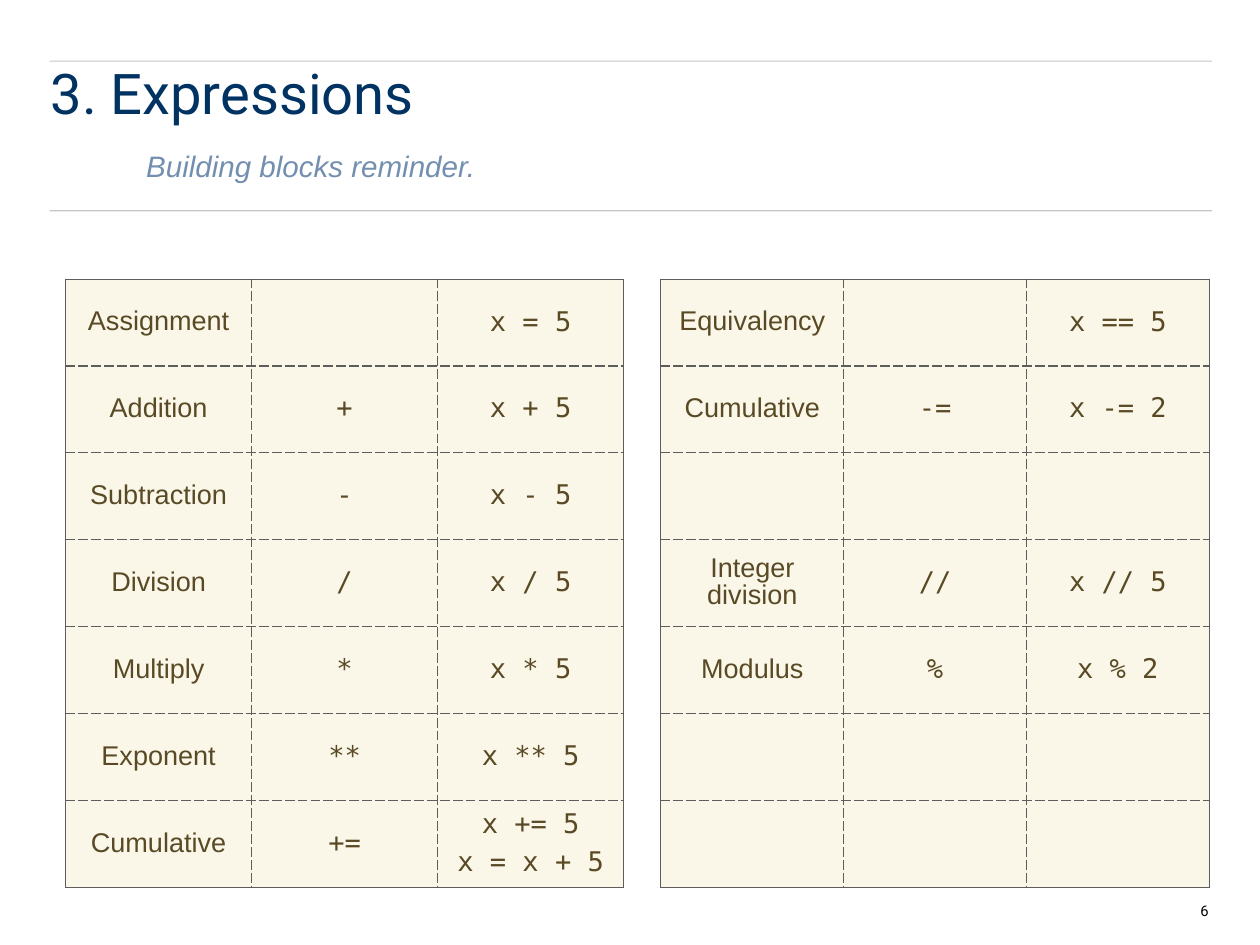
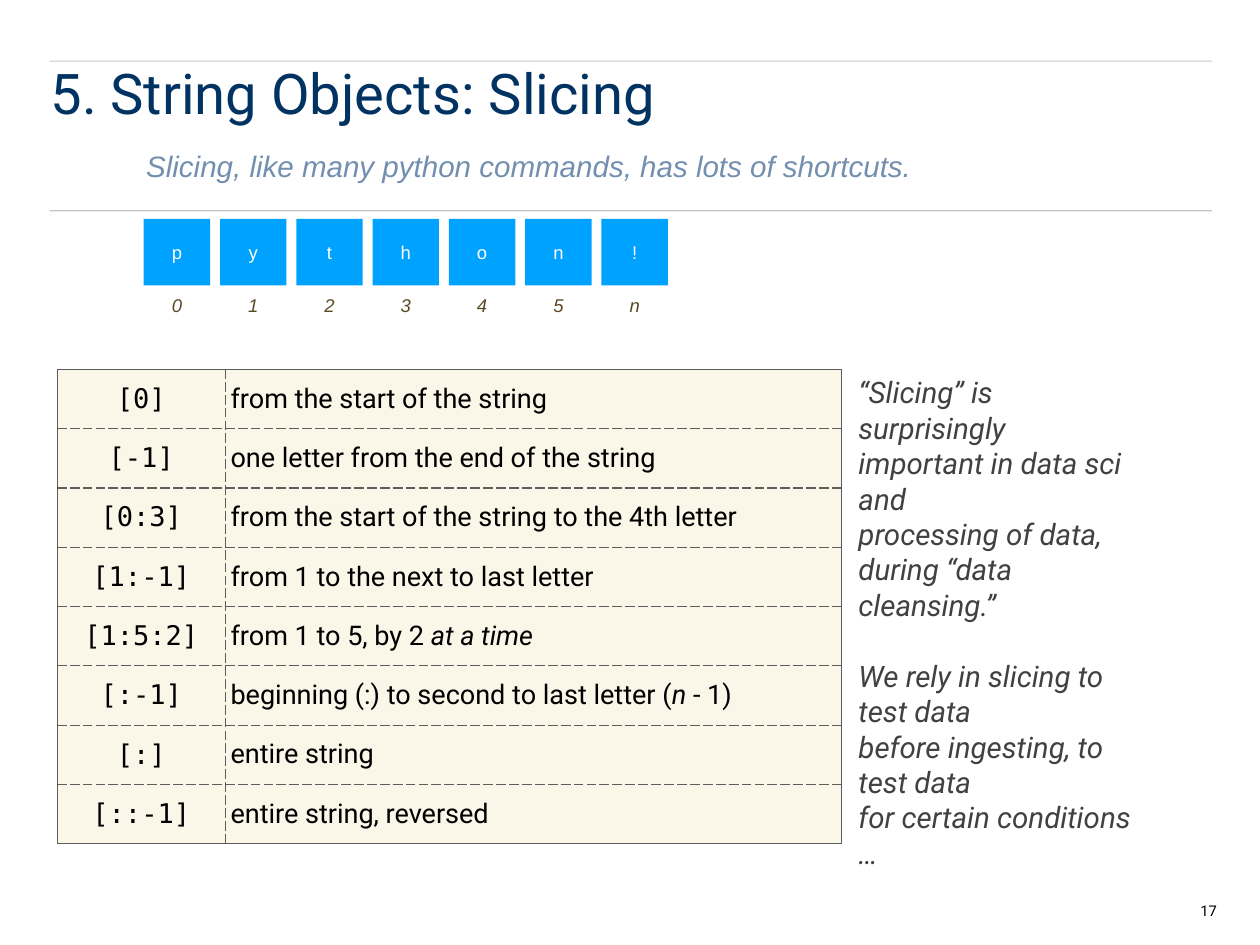
import pptx
import pptx.dml.color
import pptx.enum.shapes
import pptx.enum.text
import pptx.oxml
import pptx.oxml.ns
import pptx.util

RGB = pptx.dml.color.RGBColor
ALIGN = pptx.enum.text.PP_ALIGN
ANCHOR = pptx.enum.text.MSO_ANCHOR
Pt = pptx.util.Pt

NAVY = RGB(0x00, 0x32, 0x62)
STEEL = RGB(0x73, 0x8F, 0xAF)
CREAM = RGB(0xFA, 0xF7, 0xE9)
BROWN = RGB(0x59, 0x4A, 0x25)
BLUE = RGB(0x00, 0xA2, 0xFF)
GRAY = RGB(0x41, 0x41, 0x41)
RULE = RGB(0x44, 0x44, 0x44)
EDGE = RGB(0x5D, 0x5D, 0x5D)
WHITE = RGB(0xFF, 0xFF, 0xFF)
BLACK = RGB(0, 0, 0)

SANS, MONO, ROBOTO = "Arial", "DejaVu Sans Mono", "Roboto"
WIDE, HIGH = pptx.util.Inches(14.22), pptx.util.Inches(10.67)
COLS, ROWS = 128, 96
PAD = pptx.util.Inches(0.06)

LEFT_OPS = [
    ("Assignment", "", "x = 5"),
    ("Addition", "+", "x + 5"),
    ("Subtraction", "-", "x - 5"),
    ("Division", "/", "x / 5"),
    ("Multiply", "*", "x * 5"),
    ("Exponent", "**", "x ** 5"),
    ("Cumulative", "+=", "x += 5\nx = x + 5"),
]
RIGHT_OPS = [
    ("Equivalency", "", "x == 5"),
    ("Cumulative", "-=", "x -= 2"),
    ("", "", ""),
    ("Integer division", "//", "x // 5"),
    ("Modulus", "%", "x % 2"),
    ("", "", ""),
    ("", "", ""),
]
SLICES = [
    ("[0]", "from the start of the string"),
    ("[-1]", "one letter from the end of the string"),
    ("[0:3]", "from the start of the string to the 4th letter"),
    ("[1:-1]", "from 1 to the next to last letter"),
    ("[1:5:2]", "from 1 to 5, by 2_ at a time"),
    ("[:-1]", "beginning (:) to second to last letter (_n_ - 1)"),
    ("[:]", "entire string"),
    ("[::-1]", "entire string, reversed"),
]
NOTES = [
    "“Slicing” is surprisingly\nimportant in data sci and\nprocessing of data,\nduring “data cleansing.”",
    "We rely in slicing to test data\nbefore ingesting, to test data\nfor certain conditions …",
]


def grid(x, y, w, h):
    """Turn a box in columns and rows into slide lengths."""
    return [int(n) for n in (x * WIDE / COLS, y * HIGH / ROWS, w * WIDE / COLS, h * HIGH / ROWS)]


def style(frame, text, size, font, color, slant=False, align=ALIGN.LEFT, lead=1.0, gap=0):
    """Write paragraphs into a frame; parts between underscores are italic."""
    frame.text = text
    for i, para in enumerate(frame.paragraphs):
        first, *rest = para.text.split("_")
        para.text = first
        for part in rest:
            para.add_run().text = part
        para.alignment, para.line_spacing = align, lead
        para.space_before = Pt(gap if i else 0)
        for k, run in enumerate(para.runs):
            run.font.size, run.font.name = Pt(size), font
            run.font.color.rgb = color
            run.font.italic = slant or k % 2 == 1


def fit(frame, anchor=ANCHOR.TOP):
    """Give a frame the shared insets, wrapping and anchor."""
    frame.margin_left = frame.margin_right = PAD
    frame.margin_top = frame.margin_bottom = PAD
    frame.word_wrap, frame.vertical_anchor = True, anchor
    frame.auto_size = pptx.enum.text.MSO_AUTO_SIZE.NONE


def label(shapes, box, text, *look, anchor=ANCHOR.TOP, **more):
    """Add a text box."""
    frame = shapes.add_textbox(*grid(*box)).text_frame
    fit(frame, anchor)
    style(frame, text, *look, **more)
    return frame


def rule(slide, y):
    """Draw a pale line across the page."""
    x, top, wide, _ = grid(5.04, y, 118.08, 0)
    line = slide.shapes.add_connector(
        pptx.enum.shapes.MSO_CONNECTOR.STRAIGHT, x, top, x + wide, top)
    line.line.width = Pt(1)
    line.line.color.rgb = RULE
    props = line._element.spPr
    tint = props.find(".//" + pptx.oxml.ns.qn("a:srgbClr"))
    tint.append(pptx.oxml.parse_xml(f'<a:alpha {pptx.oxml.ns.nsdecls("a")} val="30000"/>'))
    props.append(pptx.oxml.parse_xml(f'<a:effectLst {pptx.oxml.ns.nsdecls("a")}/>'))


def plain(para):
    """Take the bullet and indent off a paragraph."""
    props = para._p.get_or_add_pPr()
    props.set("marL", "0")
    props.set("indent", "0")
    props.append(pptx.oxml.parse_xml(f'<a:buNone {pptx.oxml.ns.nsdecls("a")}/>'))


def page(deck, title, lead, wide, number):
    """Add a slide with its rules, title, lead line and number."""
    slide = deck.slides.add_slide(deck.slide_layouts[1])
    for y in (21.42, 6.21):
        rule(slide, y)
    head, body = slide.shapes.title, slide.placeholders[1]
    for shape, box in ((head, (4.59, 6.21, 97.11, 8.19)), (body, (14.31, 14.49, wide, 4.5))):
        shape.left, shape.top, shape.width, shape.height = grid(*box)
    fit(head.text_frame, ANCHOR.MIDDLE)
    head.text_frame.margin_bottom = 3 * PAD
    style(head.text_frame, title, 45.6, ROBOTO, NAVY, lead=0.9)
    fit(body.text_frame)
    style(body.text_frame, lead, 24, SANS, STEEL, slant=True)
    plain(body.text_frame.paragraphs[0])
    label(slide.shapes, (121.41, 91.08, 3, 2.79), number, 12, ROBOTO, BLACK)
    return slide


def border(cell, dashed):
    """Line the four sides of a cell, dashing the named ones."""
    props = cell._tc.get_or_add_tcPr()
    for side in "LRTB":
        dash = "dash" if side in dashed else "solid"
        props.append(pptx.oxml.parse_xml(
            f'<a:ln{side} {pptx.oxml.ns.nsdecls("a")} w="12700"><a:solidFill>'
            f'<a:srgbClr val="{EDGE}"/></a:solidFill><a:prstDash val="{dash}"/></a:ln{side}>'))


def table(slide, box, rows, shares, fonts, sides, color, **more):
    """Place a cream table with dashed inner lines."""
    x, y, wide, high = grid(*box)
    tall, across = len(rows), len(shares)
    sheet = slide.shapes.add_table(tall, across, x, y, wide, high).table
    sheet.first_row = sheet.horz_banding = False
    for col, share in zip(sheet.columns, shares):
        col.width = int(wide * share)
    for r, row in enumerate(rows):
        sheet.rows[r].height = high // tall
        for c, text in enumerate(row):
            cell = sheet.cell(r, c)
            inner = {"L": c > 0, "R": c < across - 1, "T": r > 0, "B": r < tall - 1}
            border(cell, [side for side in inner if inner[side]])
            cell.fill.solid()
            cell.fill.fore_color.rgb = CREAM
            cell.margin_left = cell.margin_right = PAD
            cell.margin_top = cell.margin_bottom = PAD
            cell.vertical_anchor = ANCHOR.MIDDLE
            if text:
                style(cell.text_frame, text, 22, fonts[c], color, align=sides[c], **more)


def tiles(slide, x, y, marks):
    """Place a row of lettered squares with an index under each."""
    side, pitch = 6.75, 7.75
    shapes = slide.shapes.add_group_shape().shapes
    for i, (mark, index) in enumerate(marks):
        left = x + i * pitch
        tile = shapes.add_shape(
            pptx.enum.shapes.MSO_SHAPE.RECTANGLE, *grid(left, y, side, side))
        tile.shadow.inherit = False
        tile.fill.solid()
        tile.fill.fore_color.rgb = BLUE
        tile.line.fill.background()
        fit(tile.text_frame, ANCHOR.MIDDLE)
        style(tile.text_frame, mark, 15, SANS, WHITE, align=ALIGN.CENTER)
        label(shapes, (left, y + side + 0.3, side, 3.33), index, 15, SANS, BROWN,
              slant=True, align=ALIGN.CENTER, anchor=ANCHOR.MIDDLE)


def terms(deck):
    """Build the slide of operators."""
    slide = page(deck, "3. Expressions", "Building blocks reminder.", 36.45, "6")
    for x, wide, rows in ((67.14, 55.71, RIGHT_OPS), (6.66, 56.7, LEFT_OPS)):
        table(slide, (x, 28.35, wide, 61.8), rows, [1 / 3] * 3, (SANS, MONO, MONO),
              [ALIGN.CENTER] * 3, BROWN, lead=0.9, gap=8)


def slicing(deck):
    """Build the slide of string slices."""
    slide = page(deck, "5. String Objects: Slicing",
                 "Slicing, like many python commands, has lots of shortcuts.", 79.47, "17")
    table(slide, (5.82, 37.53, 79.65, 48.2), SLICES, (3 / 14, 11 / 14), (MONO, ROBOTO),
          (ALIGN.CENTER, ALIGN.LEFT), BLACK)
    tiles(slide, 14.6, 22.25, zip("python!", "012345n"))
    notes = label(slide.shapes, (86.67, 37.48, 28.8, 30), "\n".join(NOTES), 24, ROBOTO, GRAY,
                  slant=True)
    notes.paragraphs[len(NOTES[0].split("\n"))].space_before = Pt(28.8)


def main():
    """Build and save the deck."""
    deck = pptx.Presentation()
    deck.slide_width, deck.slide_height = WIDE, HIGH
    terms(deck)
    slicing(deck)
    deck.save("out.pptx")


if __name__ == "__main__":
    main()
